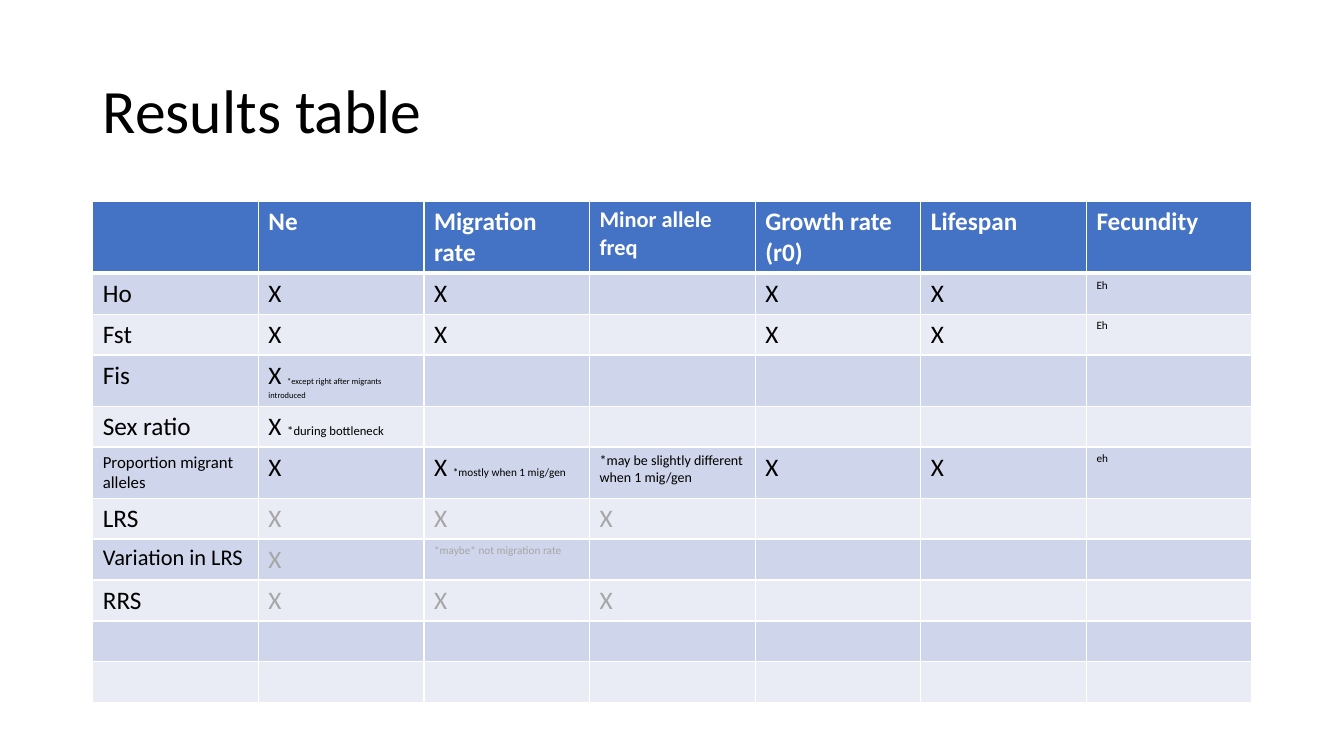
from dataclasses import dataclass

from lxml.etree import SubElement
from pptx import Presentation
from pptx.dml.color import RGBColor
from pptx.enum.text import MSO_ANCHOR, PP_ALIGN
from pptx.oxml.ns import qn
from pptx.slide import Slide
from pptx.table import _Cell
from pptx.util import Inches, Pt

FONT = "Calibri"
COLORS = {
    "white": "FFFFFF",
    "black": "000000",
    "gray": "A6A6A6",
    "header": "4472C4",
    "dark_band": "CFD5EA",
    "light_band": "E9EBF5",
}


@dataclass(frozen=True)
class Entry:
    text: str = ""
    size: int = 18
    color: str = "black"
    note: str = ""
    note_size: int = 8


BLANK = Entry()
MARK = Entry("X")
GRAY_MARK = Entry("X", color="gray")

HEADERS = [
    BLANK,
    Entry("Ne", color="white"),
    Entry("Migration rate", color="white"),
    Entry("Minor allele freq", 16, "white"),
    Entry("Growth rate (r0)", color="white"),
    Entry("Lifespan", color="white"),
    Entry("Fecundity", color="white"),
]
RESULTS = [
    [Entry("Ho"), MARK, MARK, BLANK, MARK, MARK, Entry("Eh", 8)],
    [Entry("Fst"), MARK, MARK, BLANK, MARK, MARK, Entry("Eh", 8)],
    [Entry("Fis"), Entry("X ", note="*except right after migrants introduced", note_size=6)],
    [Entry("Sex ratio"), Entry("X ", note="*during bottleneck", note_size=9)],
    [
        Entry("Proportion migrant alleles", 12),
        MARK,
        Entry("X ", note="*mostly when 1 mig/gen"),
        Entry("*may be slightly different when 1 mig/gen", 10),
        MARK,
        MARK,
        Entry("eh", 8),
    ],
    [Entry("LRS"), GRAY_MARK, GRAY_MARK, GRAY_MARK],
    [Entry("Variation in LRS", 16), GRAY_MARK, Entry("*maybe* not migration rate", 8, "gray")],
    [Entry("RRS"), GRAY_MARK, GRAY_MARK, GRAY_MARK],
    [],
    [],
]


def color_of(name: str) -> RGBColor:
    return RGBColor.from_string(COLORS[name])


def add_title(slide: Slide, text: str) -> None:
    title = slide.shapes.title
    title.left, title.top = Inches(0.92), Inches(0.4)
    title.width, title.height = Inches(11.5), Inches(1.45)
    title.text_frame.text = text
    title.text_frame.vertical_anchor = MSO_ANCHOR.MIDDLE
    paragraph = title.text_frame.paragraphs[0]
    paragraph.alignment = PP_ALIGN.LEFT
    paragraph.line_spacing = 0.9
    paragraph.font.name = FONT
    paragraph.font.size = Pt(44)
    paragraph.font.color.rgb = color_of("black")


def set_borders(cell: _Cell, row: int) -> None:
    properties = cell._tc.get_or_add_tcPr()
    widths = {"lnL": 1, "lnR": 1, "lnT": 3 if row == 1 else 1, "lnB": 3 if row == 0 else 1}
    for side, width in widths.items():
        line = SubElement(properties, qn(f"a:{side}"), w=str(Pt(width)))
        fill = SubElement(line, qn("a:solidFill"))
        SubElement(fill, qn("a:srgbClr"), val=COLORS["white"])


def write_entry(cell: _Cell, entry: Entry, bold: bool) -> None:
    paragraph = cell.text_frame.paragraphs[0]
    paragraph.font.name = FONT
    paragraph.font.size = Pt(entry.size)
    paragraph.font.bold = bold
    paragraph.font.color.rgb = color_of(entry.color)
    if entry.text:
        paragraph.add_run().text = entry.text
    if entry.note:
        note = paragraph.add_run()
        note.text = entry.note
        note.font.size = Pt(entry.note_size)


def add_results_table(slide: Slide) -> None:
    rows = [HEADERS, *RESULTS]
    columns = len(HEADERS)
    row_height = Inches(0.406)
    table = slide.shapes.add_table(
        len(rows), columns, Inches(0.92), Inches(2), Inches(11.5), row_height * len(rows)
    ).table
    for row, entries in enumerate(rows):
        band = "header" if row == 0 else "dark_band" if row % 2 else "light_band"
        padded = entries + [BLANK] * (columns - len(entries))
        for column, entry in enumerate(padded):
            cell = table.cell(row, column)
            set_borders(cell, row)
            cell.fill.solid()
            cell.fill.fore_color.rgb = color_of(band)
            write_entry(cell, entry, bold=row == 0)


def main() -> None:
    presentation = Presentation()
    presentation.slide_width, presentation.slide_height = Inches(13.33), Inches(7.5)
    slide = presentation.slides.add_slide(presentation.slide_layouts[5])
    add_title(slide, "Results table")
    add_results_table(slide)
    presentation.save("out.pptx")


if __name__ == "__main__":
    main()
